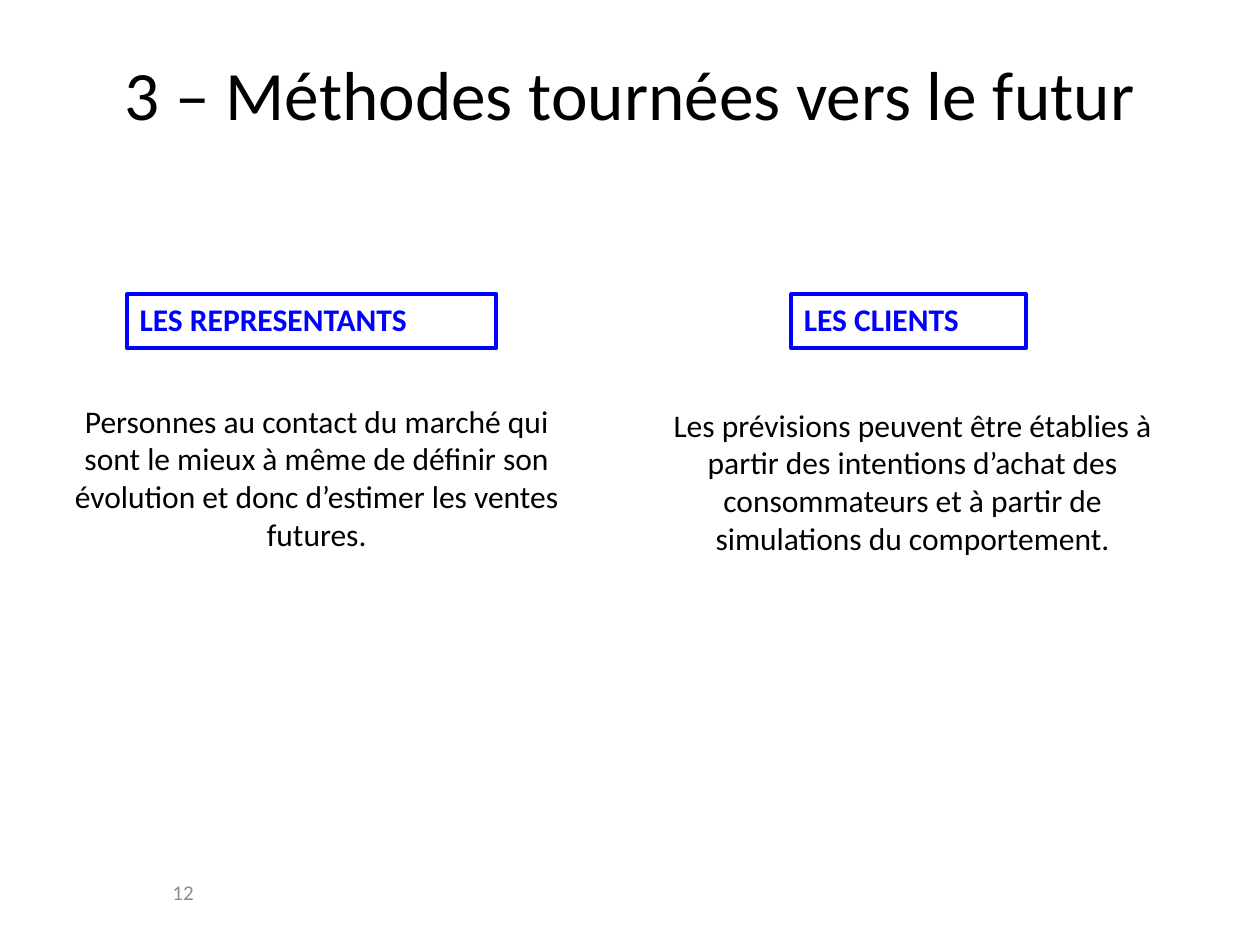
from dataclasses import dataclass

from pptx import Presentation
from pptx.dml.color import RGBColor as RGB
from pptx.enum.shapes import MSO_SHAPE as Shape
from pptx.enum.text import MSO_ANCHOR as Anchor, PP_ALIGN as Align
from pptx.util import Pt


@dataclass(frozen=True)
class Theme:
    font: str = "Calibri"
    ink: RGB = RGB(0, 0, 0)
    accent: RGB = RGB(0, 0, 255)
    muted: RGB = RGB(0x8C, 0x8C, 0x8C)
    title_size: float = 39.6
    body_size: float = 18
    number_size: float = 12
    border: float = 2.25


class SlideBuilder:
    def __init__(self, slide, theme):
        self.slide = slide
        self.theme = theme

    def add_text(self, shape, text, size, color, align=Align.LEFT, anchor=Anchor.TOP, bold=False):
        frame = shape.text_frame
        frame.word_wrap = True
        frame.vertical_anchor = anchor
        paragraph = frame.paragraphs[0]
        paragraph.alignment = align
        run = paragraph.add_run()
        run.text = text
        run.font.name = self.theme.font
        run.font.size = Pt(size)
        run.font.bold = bold
        run.font.color.rgb = color

    def title(self, text, left, top, width, height):
        shape = self.slide.shapes.title
        shape.left, shape.top = Pt(left), Pt(top)
        shape.width, shape.height = Pt(width), Pt(height)
        self.add_text(shape, text, self.theme.title_size, self.theme.ink, Align.CENTER, Anchor.MIDDLE)

    def heading(self, text, left, top, width, height):
        shape = self.slide.shapes.add_shape(
            Shape.RECTANGLE, Pt(left), Pt(top), Pt(width), Pt(height))
        shape.shadow.inherit = False
        shape.fill.background()
        shape.line.color.rgb = self.theme.accent
        shape.line.width = Pt(self.theme.border)
        self.add_text(shape, text, self.theme.body_size, self.theme.accent, bold=True)

    def description(self, text, left, top, width, height):
        shape = self.slide.shapes.add_textbox(Pt(left), Pt(top), Pt(width), Pt(height))
        self.add_text(shape, text, self.theme.body_size, self.theme.ink, Align.CENTER)

    def page_number(self, text, left, top, width, height):
        shape = self.slide.shapes.add_textbox(Pt(left), Pt(top), Pt(width), Pt(height))
        self.add_text(shape, text, self.theme.number_size, self.theme.muted, anchor=Anchor.MIDDLE)


def main():
    presentation = Presentation()
    presentation.slide_width, presentation.slide_height = Pt(720), Pt(540)
    slide = presentation.slides.add_slide(presentation.slide_layouts[5])
    builder = SlideBuilder(slide, Theme())

    builder.page_number("12", 91.5, 492, 150, 36)
    builder.title("3 – Méthodes tournées vers le futur", 0, 28, 720, 50.5)

    methods = [
        ("LES REPRESENTANTS", 72.7, 211,
         "Personnes au contact du marché qui sont le mieux à même de définir son "
         "évolution et donc d’estimer les ventes futures.", 31, 226),
        ("LES CLIENTS", 452.2, 134,
         "Les prévisions peuvent être établies à partir des intentions d’achat des "
         "consommateurs et à partir de simulations du comportement.", 371.5, 228.3),
    ]
    for heading, heading_left, heading_width, text, text_left, text_top in methods:
        builder.heading(heading, heading_left, 168, heading_width, 31)
        builder.description(text, text_left, text_top, 300, 93.6)

    presentation.save("out.pptx")


if __name__ == "__main__":
    main()
